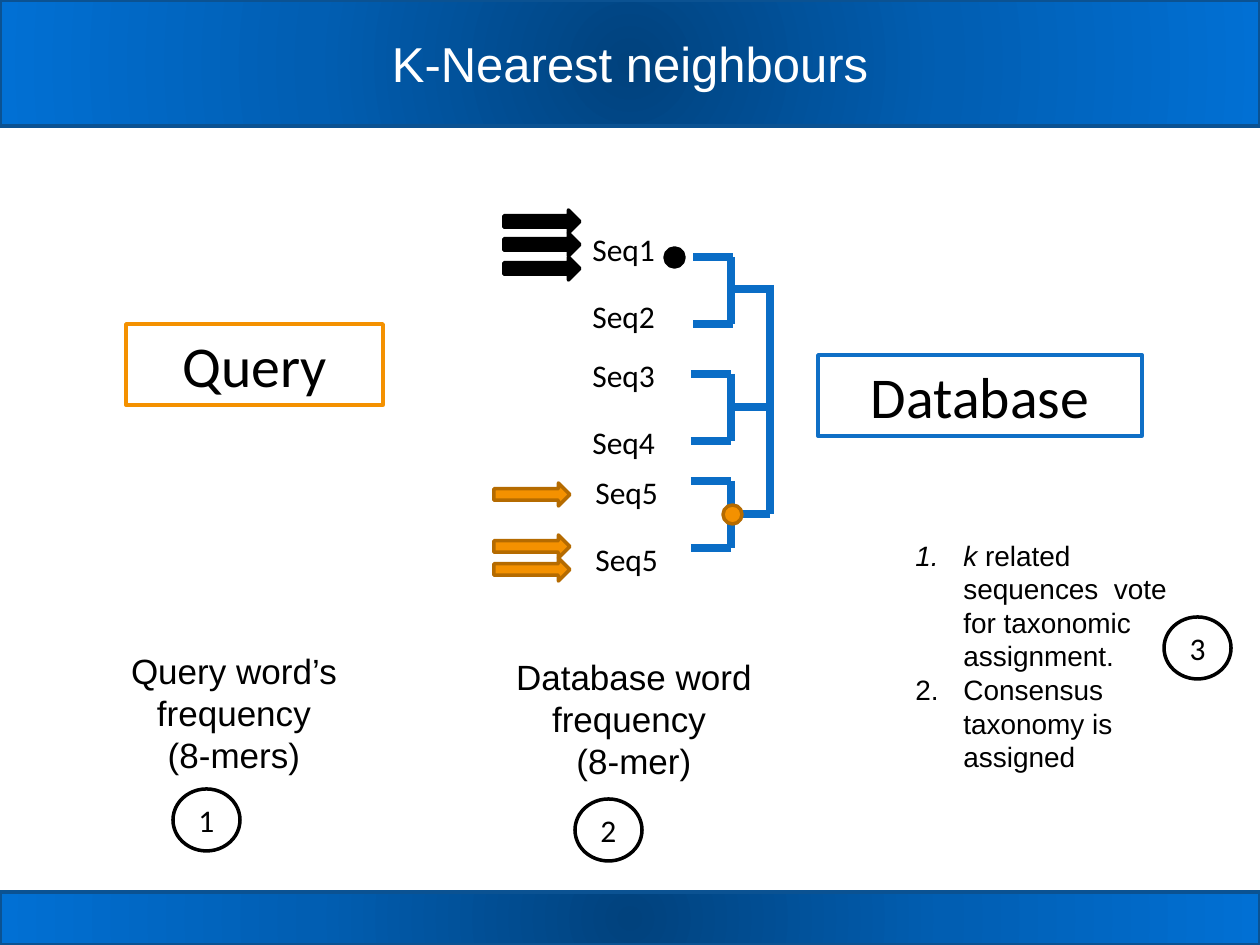
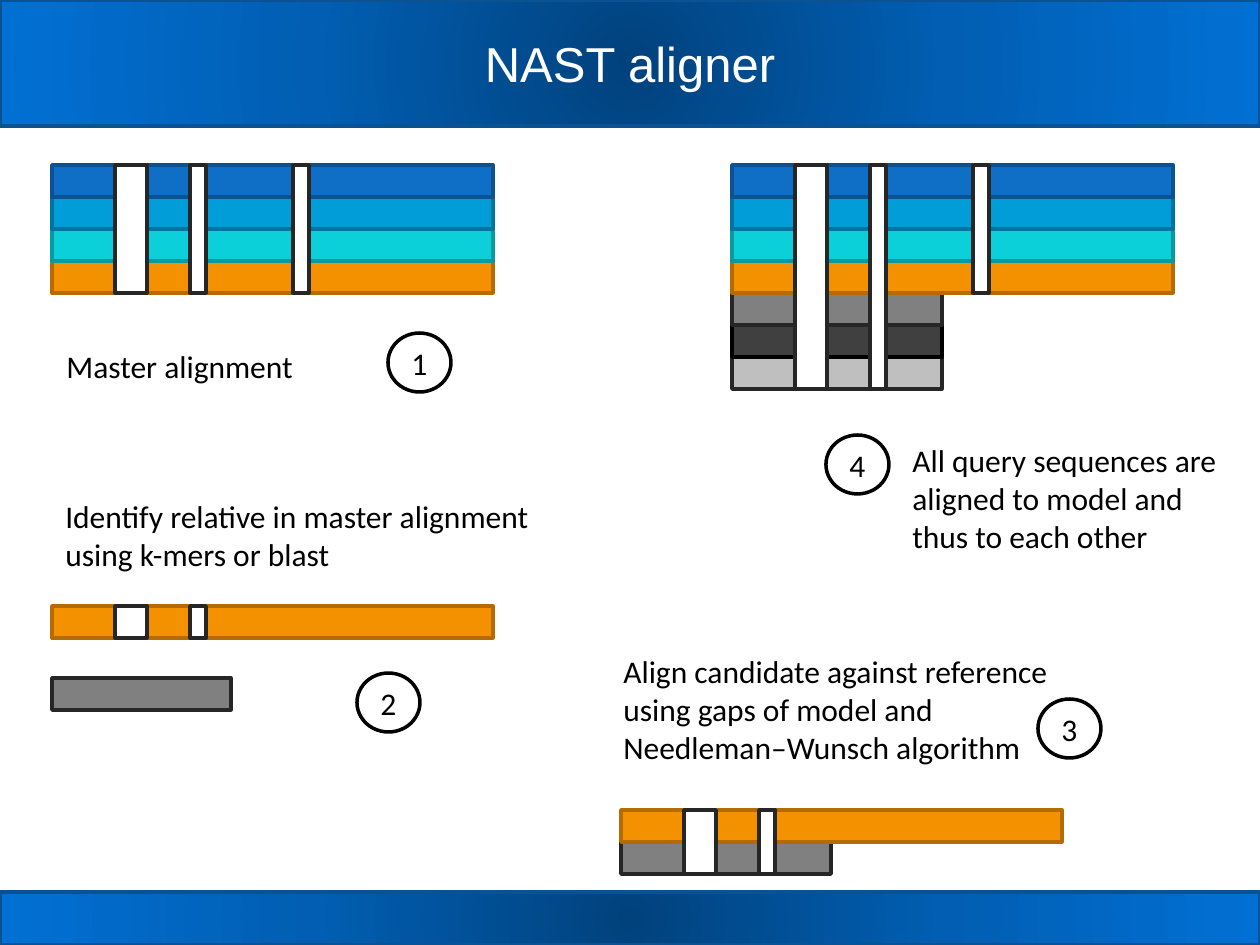
import lxml.etree
import pptx
import pptx.util
import pptx.dml.color
import pptx.enum.shapes
import pptx.enum.text
import pptx.oxml.ns

RGB = pptx.dml.color.RGBColor
SHAPE = pptx.enum.shapes.MSO_SHAPE
ANCHOR = pptx.enum.text.MSO_ANCHOR
ALIGN = pptx.enum.text.PP_ALIGN
qn = pptx.oxml.ns.qn

EMU_PER_PX = 914400 / 126
SLIDE_WIDTH, SLIDE_HEIGHT = 1260, 945

BLACK = RGB(0x00, 0x00, 0x00)
WHITE = RGB(0xFF, 0xFF, 0xFF)
BLUE = RGB(0x0F, 0x6F, 0xC6)
DARK_BLUE = RGB(0x0B, 0x52, 0x92)
SKY = RGB(0x00, 0x9D, 0xD9)
DARK_SKY = RGB(0x00, 0x74, 0xA1)
CYAN = RGB(0x0B, 0xD0, 0xD9)
DARK_CYAN = RGB(0x08, 0x9A, 0xA1)
ORANGE = RGB(0xF4, 0x91, 0x00)
DARK_ORANGE = RGB(0xB5, 0x6B, 0x00)
BRANCH_BLUE = RGB(0x0A, 0x6D, 0xC6)
GREY = RGB(0x80, 0x80, 0x80)
CHARCOAL = RGB(0x40, 0x40, 0x40)
SILVER = RGB(0xBF, 0xBF, 0xBF)
INK = RGB(0x26, 0x26, 0x26)
BAND_STOPS = (
    (0, RGB(0x01, 0x42, 0x7D)),
    (50, RGB(0x01, 0x5E, 0xB2)),
    (100, RGB(0x01, 0x70, 0xD4)),
)

ROW_HEIGHT = 32
MODEL_WIDTH = 441
QUERY_WIDTH = 210
MODEL_ROW = (MODEL_WIDTH, ORANGE, DARK_ORANGE)
QUERY_ROW = (QUERY_WIDTH, GREY, INK)
MASTER_ROWS = [
    (MODEL_WIDTH, BLUE, DARK_BLUE),
    (MODEL_WIDTH, SKY, DARK_SKY),
    (MODEL_WIDTH, CYAN, DARK_CYAN),
    MODEL_ROW,
]
GAPS = [(63, 32), (138, 16), (241, 16)]


def px(length):
    return pptx.util.Emu(round(length * EMU_PER_PX))


def add_block(slide, kind, box, fill, outline):
    block = slide.shapes.add_shape(kind, *map(px, box))
    block.shadow.inherit = False
    block.fill.solid()
    block.fill.fore_color.rgb = fill
    block.line.color.rgb = outline
    block.line.width = pptx.util.Pt(2)
    lxml.etree.SubElement(block.line._get_or_add_ln(), qn("a:round"))
    return block


def write(frame, lines, size, font="Calibri", color=BLACK, align=ALIGN.LEFT, anchor=ANCHOR.TOP):
    frame.word_wrap = True
    frame.vertical_anchor = anchor
    frame.text = "\n".join(lines)
    for paragraph in frame.paragraphs:
        paragraph.alignment = align
        paragraph.font.size = pptx.util.Pt(size)
        paragraph.font.name = font
        paragraph.font.color.rgb = color


def add_text(slide, box, lines, size=18, **style):
    frame = slide.shapes.add_textbox(*map(px, box)).text_frame
    write(frame, lines, size, **style)
    return frame


def add_step(slide, number, box):
    step = add_block(slide, SHAPE.OVAL, box, WHITE, BLACK)
    write(step.text_frame, [str(number)], 18, align=ALIGN.CENTER, anchor=ANCHOR.MIDDLE)


def add_heading(slide, box, word, outline):
    heading = add_block(slide, SHAPE.RECTANGLE, box, WHITE, outline)
    write(heading.text_frame, [word], 33, align=ALIGN.CENTER)


def add_band(slide, box):
    band = add_block(slide, SHAPE.RECTANGLE, box, BLUE, DARK_BLUE)
    properties = band._element.spPr
    solid = properties.find(qn("a:solidFill"))
    gradient = lxml.etree.Element(qn("a:gradFill"), rotWithShape="1")
    stops = lxml.etree.SubElement(gradient, qn("a:gsLst"))
    for percent, color in BAND_STOPS:
        stop = lxml.etree.SubElement(stops, qn("a:gs"), pos=str(percent * 1000))
        lxml.etree.SubElement(stop, qn("a:srgbClr"), val=str(color))
    circle = lxml.etree.SubElement(gradient, qn("a:path"))
    circle.set("path", "circle")
    sides = dict.fromkeys("ltrb", "50000")
    lxml.etree.SubElement(circle, qn("a:fillToRect"), **sides)
    properties.replace(solid, gradient)


def add_titled_slide(deck, title):
    slide = deck.slides.add_slide(deck.slide_layouts[6])
    add_band(slide, (0, 0, SLIDE_WIDTH, 126))
    add_band(slide, (0, 892, SLIDE_WIDTH, 53))
    add_text(slide, (126, 0, 1008, 126), [title], 28, font="Arial", color=WHITE,
             align=ALIGN.CENTER, anchor=ANCHOR.MIDDLE)
    return slide


def add_branch(slide, x1, y1, x2, y2):
    branch = slide.shapes.add_connector(
        pptx.enum.shapes.MSO_CONNECTOR.STRAIGHT, *map(px, (x1, y1, x2, y2)))
    branch.line.color.rgb = BRANCH_BLUE
    branch.line.width = pptx.util.Pt(4.5)
    lxml.etree.SubElement(branch._element.spPr, qn("a:effectLst"))


def add_tree(slide, left, top):
    trunk, fork = left + 276, left + 237
    add_branch(slide, trunk, top + 75, trunk, top + 304)
    clades = [
        (47, 79, 199, 86, 33, ("Seq1", "Seq2")),
        (164, 197, 197, 86, 24, ("Seq3", "Seq4")),
        (271, 304, 197, 89, 14, ("Seq5", "Seq5")),
    ]
    for first, joint, tip, label_left, lift, names in clades:
        add_branch(slide, fork, top + first, fork, top + first + 67)
        add_branch(slide, fork, top + joint, trunk, top + joint)
        for leaf, name in enumerate(names):
            y = top + first + 67 * leaf
            add_branch(slide, left + tip, y, left + tip + 40, y)
            add_text(slide, (left + label_left, y - lift, 111, 50), [name])
    words = [(10, y, BLACK, BLACK) for y in (0, 23, 47)]
    words += [(0, y, ORANGE, DARK_ORANGE) for y in (273, 325, 348)]
    for x, y, fill, outline in words:
        add_block(slide, SHAPE.RIGHT_ARROW, (left + x, top + y, 76, 23), fill, outline)
    for x, y, fill, outline in ((171, 38, BLACK, BLACK), (229, 295, ORANGE, DARK_ORANGE)):
        add_block(slide, SHAPE.OVAL, (left + x, top + y, 19, 19), fill, outline)


def add_vote_list(slide, box):
    frame = add_text(slide, box, ["", "Consensus taxonomy is assigned"], 16, font="Arial")
    vote = frame.paragraphs[0]
    symbol = vote.add_run()
    symbol.text = "k"
    symbol.font.italic = True
    vote.add_run().text = " related sequences  vote for taxonomic assignment."
    for paragraph in frame.paragraphs:
        properties = paragraph._p.get_or_add_pPr()
        properties.set("marL", str(px(48)))
        properties.set("indent", str(-px(48)))
        numbering = lxml.etree.Element(qn("a:buAutoNum"), type="arabicPeriod")
        properties.insert(0, numbering)


def add_alignment(slide, left, top, rows, gap_rows):
    for index, (width, fill, outline) in reversed(list(enumerate(rows))):
        row_box = (left, top + index * ROW_HEIGHT, width, ROW_HEIGHT)
        add_block(slide, SHAPE.RECTANGLE, row_box, fill, outline)
    for (offset, width), spanned in zip(GAPS, gap_rows):
        gap_box = (left + offset, top, width, spanned * ROW_HEIGHT)
        add_block(slide, SHAPE.RECTANGLE, gap_box, WHITE, INK)


def build_neighbours(deck):
    slide = add_titled_slide(deck, "K-Nearest neighbours")
    captions = [
        ((94, 643, 280, 139), ["Query word’s frequency", "(8-mers)"]),
        ((494, 649, 280, 139), ["Database word frequency ", "(8-mer)"]),
    ]
    for box, lines in captions:
        add_text(slide, box, lines, 20, font="Arial", align=ALIGN.CENTER)
    add_heading(slide, (126, 324, 257, 81), "Query", ORANGE)
    add_heading(slide, (818, 355, 324, 81), "Database", BLUE)
    add_tree(slide, 494, 210)
    add_vote_list(slide, (903, 532, 294, 251))
    for number, (x, y) in enumerate([(173, 789), (575, 799), (1164, 617)], 1):
        add_step(slide, number, (x, y, 67, 62))


def build_aligner(deck):
    slide = add_titled_slide(deck, "NAST aligner")
    add_alignment(slide, 52, 165, MASTER_ROWS, [4, 4, 4])
    add_alignment(slide, 52, 606, [MODEL_ROW], [1, 1])
    add_block(slide, SHAPE.RECTANGLE, (52, 678, 179, ROW_HEIGHT), GREY, INK)
    add_alignment(slide, 621, 810, [MODEL_ROW, QUERY_ROW], [2, 2])
    aligned_queries = [QUERY_ROW, (QUERY_WIDTH, CHARCOAL, BLACK), (QUERY_WIDTH, SILVER, INK)]
    add_alignment(slide, 732, 165, MASTER_ROWS + aligned_queries, [7, 7, 4])
    steps = [
        ((388, 333), (54, 341, 255, 50), ["Master alignment"]),
        ((357, 673), (53, 491, 494, 89),
         ["Identify relative in master alignment", "using k-mers or blast"]),
        ((1038, 699), (611, 646, 455, 165),
         ["Align candidate against reference", "using gaps of model and",
          "Needleman–Wunsch algorithm"]),
        ((826, 435), (900, 435, 340, 127),
         ["All query sequences are", "aligned to model and", "thus to each other"]),
    ]
    for number, ((x, y), caption_box, lines) in enumerate(steps, 1):
        add_text(slide, caption_box, lines)
        add_step(slide, number, (x, y, 63, 59))


def main():
    deck = pptx.Presentation()
    deck.slide_width, deck.slide_height = px(SLIDE_WIDTH), px(SLIDE_HEIGHT)
    build_neighbours(deck)
    build_aligner(deck)
    deck.save("out.pptx")


if __name__ == "__main__":
    main()
